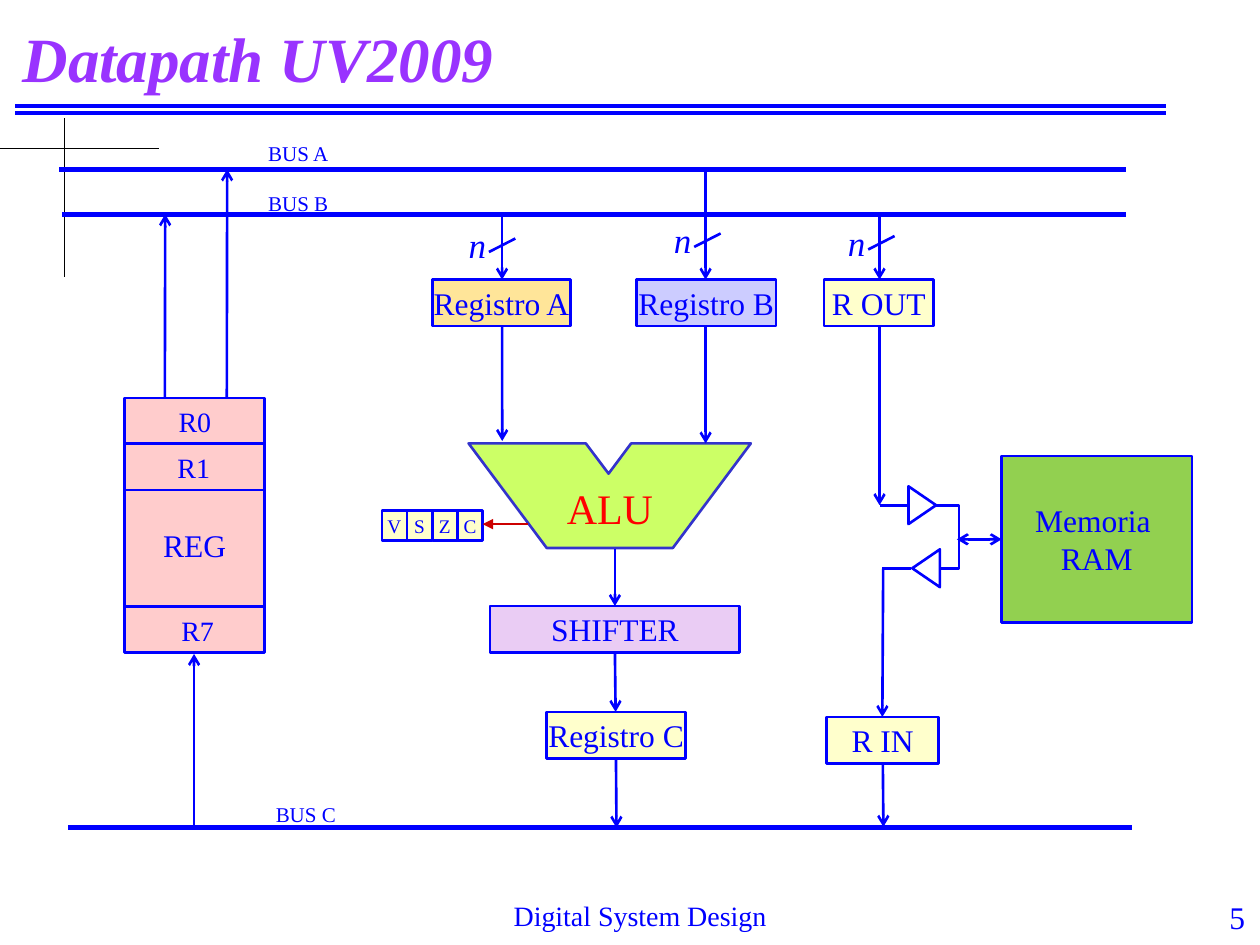
from lxml.etree import SubElement
from pptx import Presentation
from pptx.dml.color import RGBColor
from pptx.enum.shapes import MSO_CONNECTOR, MSO_SHAPE
from pptx.enum.text import MSO_ANCHOR, PP_ALIGN
from pptx.oxml.ns import qn
from pptx.util import Pt

COLORS = {
    "blue": "0000FF", "black": "000000", "red": "FF0000", "flag": "CC0000",
    "title": "9933FF", "cream": "FFFFCC", "amber": "FFC000", "green": "92D050",
    "lime": "CCFF66", "indigo": "3333CC", "violet": "9900CC",
}
COLORS = {name: RGBColor.from_string(value) for name, value in COLORS.items()}

presentation = Presentation()
presentation.slide_width, presentation.slide_height = Pt(720), Pt(540)
slide = presentation.slides.add_slide(presentation.slide_layouts[6])
shapes = slide.shapes


def wire(x1, y1, x2, y2, color="blue", width=1.5, head=None, tail=None,
         kind=MSO_CONNECTOR.STRAIGHT):
    connector = shapes.add_connector(kind, Pt(x1), Pt(y1), Pt(x2), Pt(y2))
    connector.line.color.rgb = COLORS[color]
    connector.line.width = Pt(width)
    outline = connector.line._get_or_add_ln()
    for end, arrow in (("a:headEnd", head), ("a:tailEnd", tail)):
        if arrow:
            SubElement(outline, qn(end), type=arrow)
    SubElement(connector.element.spPr, qn("a:effectLst"))
    return connector


def write(frame, text, size, color="blue", align=PP_ALIGN.LEFT,
          anchor=MSO_ANCHOR.TOP, wrap=True, bold=False, italic=False):
    frame.text = text
    frame.word_wrap = wrap
    frame.vertical_anchor = anchor
    for paragraph in frame.paragraphs:
        paragraph.alignment = align
        for run in paragraph.runs:
            run.font.name = "Times New Roman"
            run.font.size = Pt(size)
            run.font.bold, run.font.italic = bold, italic
            run.font.color.rgb = COLORS[color]


for y in (60.5, 64.8):
    wire(8.6, y, 666, y, width=2.25)
wire(0, 85, 90.7, 85, "black", 0.75)
wire(36.7, 67.7, 36.7, 158.4, "black", 0.75)

for x1, x2, y in ((33.8, 643.7, 96.8), (35.3, 643.7, 122.4), (38.9, 646.6, 473)):
    wire(x1, y, x2, y, width=3)

alu = shapes.build_freeform(Pt(267.8), Pt(253.4))
alu.add_line_segments([(Pt(x), Pt(y)) for x, y in (
    (334.8, 253.4), (347.8, 270.7), (360.7, 253.4),
    (429.1, 253.4), (384.5, 313.2), (312.5, 313.2))])
alu = alu.convert_to_shape()
alu.shadow.inherit = False
alu.fill.solid()
alu.fill.fore_color.rgb = COLORS["lime"]
alu.line.color.rgb = COLORS["indigo"]
alu.line.width = Pt(1.5)

blocks = [
    ("Registro A", 247, 159.8, 79.2, 26.6, "amber", 40, 18),
    ("Registro B", 363.6, 159.8, 79.9, 26.6, "blue", 20, 18),
    ("R OUT", 470.9, 159.8, 62.6, 26.6, "cream", 100, 18),
    ("Memoria \nRAM", 572.4, 260.6, 108.7, 95, "green", 100, 18),
    ("R IN", 472.3, 409.7, 64.1, 26.6, "cream", 100, 18),
    ("SHIFTER", 280.1, 346.3, 142.6, 26.6, "violet", 20, 18),
    ("Registro C", 312.5, 406.8, 79.2, 26.6, "cream", 100, 18),
    ("REG", 71.3, 227.5, 79.9, 145.4, "red", 20, 18),
]
blocks += [(flag, 218.2 + 14.4 * i, 291.6, 14.4, 17.3, "cream", 100, 11)
           for i, flag in enumerate("VSZC")]
for text, left, top, width, height, color, opacity, size in blocks:
    block = shapes.add_shape(MSO_SHAPE.RECTANGLE, Pt(left), Pt(top), Pt(width), Pt(height))
    block.shadow.inherit = False
    block.fill.solid()
    block.fill.fore_color.rgb = COLORS[color]
    if opacity < 100:
        tint = block.element.spPr.find(qn("a:solidFill"))[0]
        SubElement(tint, qn("a:alpha"), val=str(opacity * 1000))
    block.line.color.rgb = COLORS["blue"]
    block.line.width = Pt(1.5)
    write(block.text_frame, text, size, align=PP_ALIGN.CENTER,
          anchor=MSO_ANCHOR.MIDDLE, wrap=False)
    if text == "REG":
        block.text_frame.margin_top = Pt(26)

for y in (253.4, 280.1, 346.7):
    wire(71.3, y, 151.2, y)

for left, top, rotation in ((516.2, 280.8, 90), (518.4, 316.8, 270)):
    buffer = shapes.add_shape(MSO_SHAPE.ISOSCELES_TRIANGLE, Pt(left), Pt(top), Pt(21.6), Pt(15.8))
    buffer.rotation = rotation
    buffer.shadow.inherit = False
    buffer.fill.background()
    buffer.line.color.rgb = COLORS["blue"]
    buffer.line.width = Pt(1.5)

buffer_link = wire(537, 324.9, 535, 288.7, kind=MSO_CONNECTOR.ELBOW)
bend = buffer_link.element.spPr.find(qn("a:prstGeom")).get_or_add_avLst()
SubElement(bend, qn("a:gd"), name="adj1", fmla="val -550000")
wire(519.1, 288.7, 502.6, 288.7)
wire(520.6, 324.9, 504, 324.9)
wire(572.4, 308.2, 546.8, 308.2, head="arrow", tail="arrow")
wire(275.8, 299.5, 301.7, 299.5, "flag", 0.75, head="triangle")

for x1, y1, x2, y2 in (
    (286.9, 122.4, 286.9, 159.8), (403.2, 96.8, 403.2, 159.8), (502.6, 122.4, 502.6, 159.8),
    (286.9, 186.5, 287, 252), (403.2, 186.5, 403.2, 253.4), (502.6, 186.5, 502.6, 288.7),
    (504.7, 325, 504.2, 409.7), (504.5, 436.3, 504.8, 472.5),
    (351.4, 313.6, 351.4, 346.3), (351.4, 373, 351.8, 406.8), (352, 433.4, 352.3, 473),
    (110.9, 473.8, 110.9, 373.7), (94.2, 227.5, 94.4, 122.4), (129.6, 227.5, 129.8, 96.8),
):
    wire(x1, y1, x2, y2, tail="arrow")

for x, y in ((279.4, 144), (396.7, 141.1), (496.1, 142.6)):
    wire(x, y, x + 15.1, y - 7.7)
    bus_width = shapes.add_textbox(Pt(x - 11.6), Pt(y - 9.4), Pt(9.7), Pt(16.6)).text_frame
    write(bus_width, "n", 20, wrap=False, italic=True)
    bus_width.margin_left = bus_width.margin_right = 0
    bus_width.margin_top = bus_width.margin_bottom = 0
    bus_width.paragraphs[0].line_spacing = 0.7

for text, left, top, width, height, size, style in (
    ("Datapath UV2009", 5.8, 5.8, 660.2, 54, 36,
     dict(color="title", bold=True, italic=True, anchor=MSO_ANCHOR.MIDDLE)),
    ("ALU", 298.8, 272.2, 99.4, 36, 24, dict(color="red", align=PP_ALIGN.CENTER)),
    ("BUS A", 146.2, 77, 67, 21.6, 12, {}),
    ("BUS B", 146.2, 105.1, 67, 21.6, 12, {}),
    ("BUS C", 150.5, 454.3, 66.2, 21.6, 12, {}),
    ("R0", 95, 227.5, 54, 26.6, 16, {}),
    ("R1", 94.3, 254.2, 54, 26.6, 16, {}),
    ("R7", 96.5, 347, 54, 26.6, 16, {}),
    ("Digital System Design", 239.8, 509.8, 252, 23.8, 16, dict(align=PP_ALIGN.CENTER)),
    ("5", 668.9, 509.8, 49.7, 23.8, 18, dict(align=PP_ALIGN.RIGHT)),
):
    label = shapes.add_textbox(Pt(left), Pt(top), Pt(width), Pt(height))
    write(label.text_frame, text, size, **style)

presentation.save("out.pptx")
